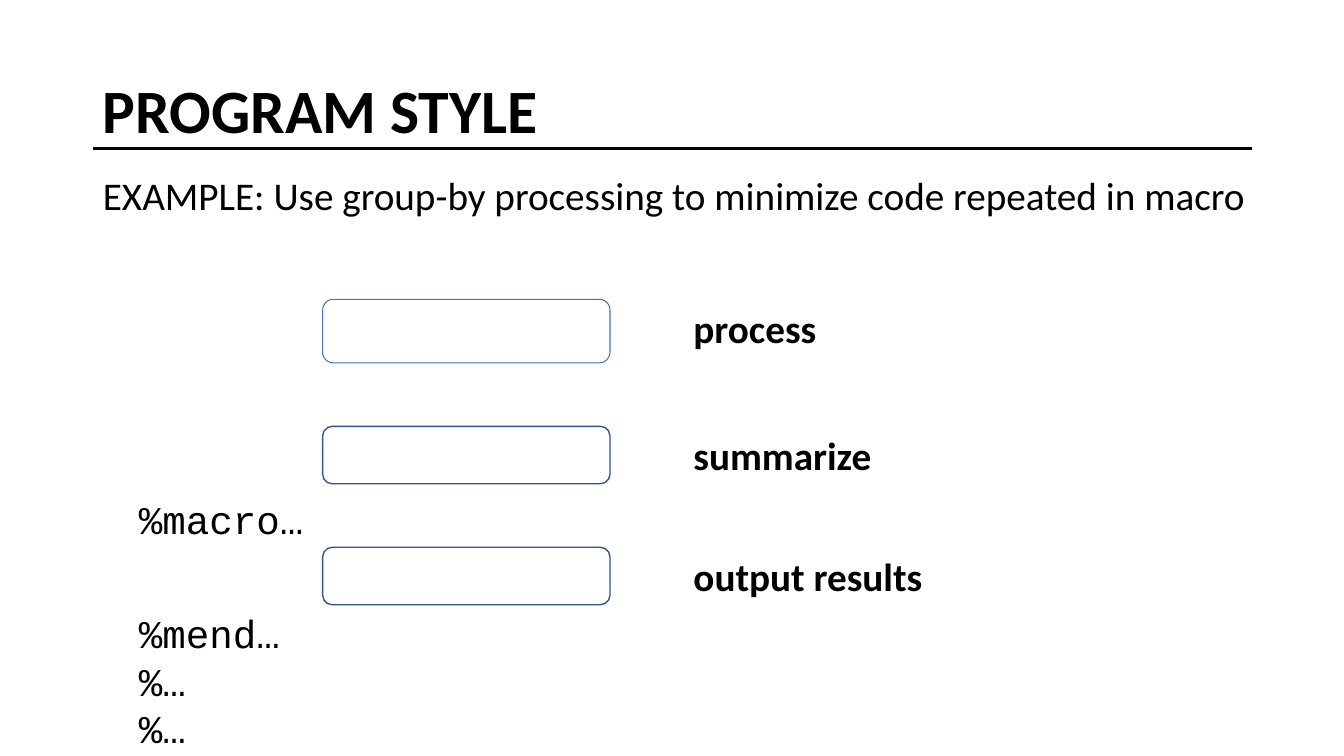
from pptx import Presentation
from pptx.dml.color import RGBColor
from pptx.enum.shapes import MSO_CONNECTOR, MSO_SHAPE
from pptx.enum.text import MSO_ANCHOR, MSO_AUTO_SIZE, PP_ALIGN
from pptx.oxml.ns import qn
from pptx.util import Inches, Pt
from lxml import etree

COLORS = {"ink": "000000", "blue": "4472C4", "navy": "325491"}
TITLE = {"name": "Calibri", "size": Pt(44), "bold": True}
BODY = {"name": "Calibri", "size": Pt(28), "bold": False}
LABEL = {"name": "Calibri", "size": Pt(28), "bold": True}
CODE = {"name": "Courier New", "size": Pt(28), "bold": False}
TIGHT = {"alignment": PP_ALIGN.LEFT, "line_spacing": 0.9}


def color(key):
    return RGBColor.from_string(COLORS[key])


def apply(target, values):
    for key, value in values.items():
        setattr(target, key, value)


def place(shape, box):
    names = ("left", "top", "width", "height")
    apply(shape, dict(zip(names, map(Inches, box))))


def write(shape, lines, font, para, anchor=MSO_ANCHOR.TOP):
    frame = shape.text_frame
    apply(frame, {"text": "\n".join(lines), "word_wrap": True,
                  "auto_size": MSO_AUTO_SIZE.NONE, "vertical_anchor": anchor})
    for line in frame.paragraphs:
        apply(line, para)
        for run in line.runs:
            apply(run.font, font)
            run.font.color.rgb = color("ink")


def add_text(slide, box, lines, font):
    shape = slide.shapes.add_textbox(*map(Inches, box))
    write(shape, lines, font, {"alignment": PP_ALIGN.LEFT})


def add_head(slide, box, text):
    # Title with a rule across its width
    left, top, width, height = box
    rule_y = top + 1.07
    rule = slide.shapes.add_connector(
        MSO_CONNECTOR.STRAIGHT,
        *map(Inches, (left, rule_y, left + width, rule_y)))
    rule.line.color.rgb = color("ink")
    rule.line.width = Pt(2.25)
    etree.SubElement(rule._element.spPr, qn("a:effectLst"))
    title = slide.shapes.title
    place(title, box)
    write(title, [text], TITLE, TIGHT, MSO_ANCHOR.MIDDLE)


def add_lead(slide, box, text):
    # Body line without a bullet
    body = slide.placeholders[1]
    place(body, box)
    write(body, [text], BODY, {**TIGHT, "space_before": Pt(10)})
    props = body.text_frame.paragraphs[0]._p.get_or_add_pPr()
    props.set("marL", "0")
    props.set("indent", "0")
    etree.SubElement(props, qn("a:buNone"))


def add_steps(slide, box, steps):
    # Empty step frames with their labels
    left, top, width, _ = box
    for text, down, high, kind, tint, weight in steps:
        frame = slide.shapes.add_shape(
            kind, *map(Inches, (left, top + down, 2.85, high)))
        frame.shadow.inherit = False
        frame.fill.background()
        frame.line.color.rgb = color(tint)
        frame.line.width = Pt(weight)
        add_text(slide, (left + 3.58, top + down, width - 3.58, 0.57),
                 [text], LABEL)


def add_code(slide, box):
    # Macro code around the last step
    left, top, width, _ = box
    add_text(slide, (left, top, width, 0.57), ["%macro…"], CODE)
    add_text(slide, (left, top + 1.14, width, 1.51),
             ["%mend…", "%…", "%…"], CODE)


deck = Presentation()
deck.slide_width, deck.slide_height = Inches(13.33), Inches(7.5)
slide = deck.slides.add_slide(deck.slide_layouts[1])
round_box = MSO_SHAPE.ROUNDED_RECTANGLE
steps = [
    ("process", 0, 0.63, MSO_SHAPE.FLOWCHART_ALTERNATE_PROCESS, "blue", 0.75),
    ("summarize", 1.26, 0.57, round_box, "navy", 1),
    ("output results", 2.46, 0.57, round_box, "navy", 1),
]
add_head(slide, (0.92, 0.4, 11.5, 1.45), "PROGRAM STYLE")
add_lead(slide, (0.92, 1.7, 11.65, 0.51),
         "EXAMPLE: Use group-by processing to minimize code repeated in macro")
add_steps(slide, (3.2, 2.97, 9.21, 3.03), steps)
add_code(slide, (1.28, 4.86, 2.11, 2.65))
deck.save("out.pptx")
